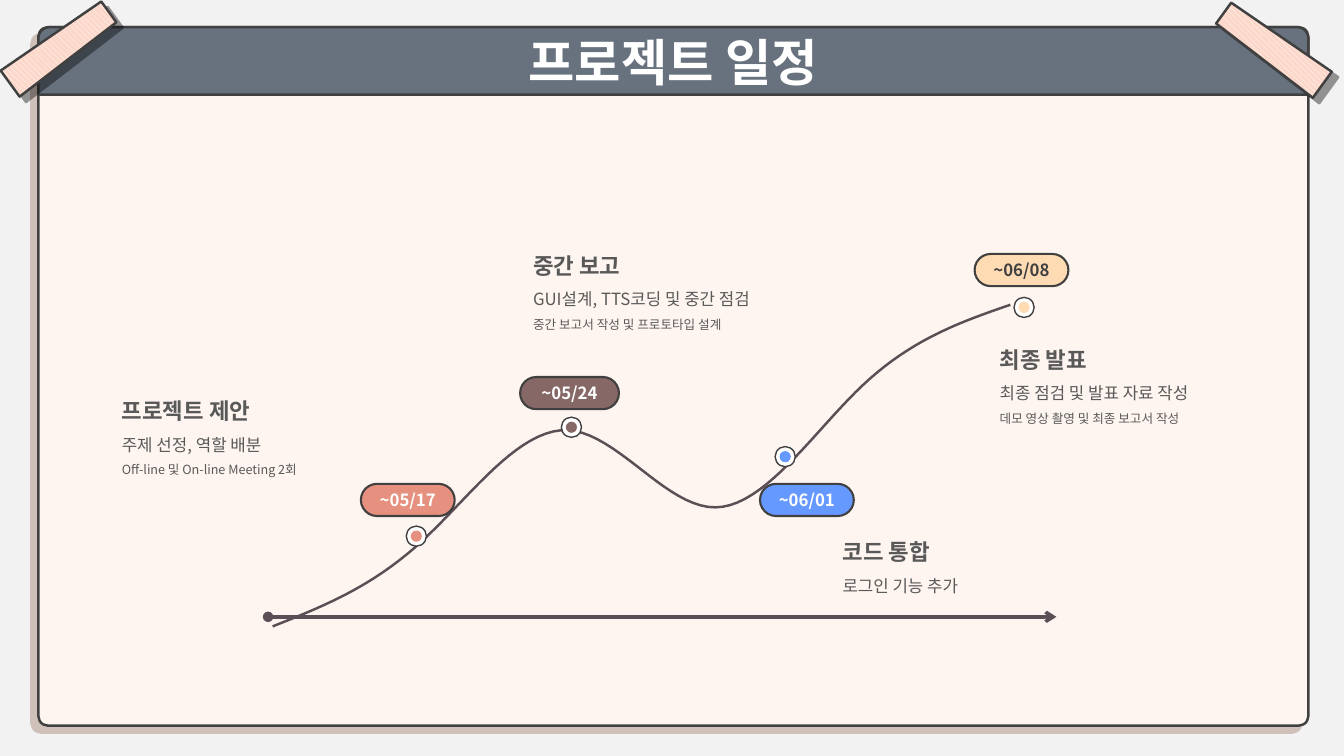
"""Build the project schedule slide."""
from lxml import etree
from pptx import Presentation
from pptx.chart.data import CategoryChartData
from pptx.dml.color import RGBColor
from pptx.enum.chart import XL_CHART_TYPE, XL_MARKER_STYLE
from pptx.enum.dml import MSO_PATTERN
from pptx.enum.shapes import MSO_CONNECTOR, MSO_SHAPE
from pptx.enum.text import MSO_ANCHOR, MSO_AUTO_SIZE, PP_ALIGN
from pptx.oxml import parse_xml
from pptx.oxml.ns import nsdecls, qn
from pptx.util import Pt

ROUND, TOP_ROUND = MSO_SHAPE.ROUNDED_RECTANGLE, MSO_SHAPE.ROUND_2_SAME_RECTANGLE
OVAL, TRAPEZOID = MSO_SHAPE.OVAL, MSO_SHAPE.TRAPEZOID
STRIPES = MSO_PATTERN.WIDE_DOWNWARD_DIAGONAL
LINE_CHART, NO_MARKER = XL_CHART_TYPE.LINE, XL_MARKER_STYLE.NONE
STRAIGHT = MSO_CONNECTOR.STRAIGHT
MIDDLE, CENTER, LEFT = MSO_ANCHOR.MIDDLE, PP_ALIGN.CENTER, PP_ALIGN.LEFT
NO_FIT, GROW = MSO_AUTO_SIZE.NONE, MSO_AUTO_SIZE.SHAPE_TO_FIT_TEXT

COLORS = {
    "back": "F2F2F2", "panel": "FEF5F0", "bar": "68727E", "outline": "404040",
    "panel_shadow": "622706", "black": "000000", "white": "FFFFFF",
    "tape": "FCD8CA", "curve": "5B4E55", "text": "595959", "label": "D9D9D9",
    "coral": "E6907F", "brown": "866867", "blue": "6699FF", "sand": "FEDBB3",
}
MILESTONES = [
    ("~05/24", "brown", "white", (371.5, 269.3, 70.6), (401, 298)),
    ("~06/08", "sand", "outline", (696.2, 181.4, 67), (724.3, 212.4)),
    ("~05/17", "coral", "white", (257.8, 345.6, 67), (290.2, 375.8)),
    ("~06/01", "blue", "white", (542.9, 345.6, 67), (553.7, 319)),
]
NOTES = [
    ((707, 234, 173.5, 72.7),
     ["최종 발표", "최종 점검 및 발표 자료 작성", "데모 영상 촬영 및 최종 보고서 작성"]),
    ((373.7, 167, 186.5, 72.7),
     ["중간 보고", "GUI설계, TTS코딩 및 중간 점검", "중간 보고서 작성 및 프로토타입 설계"]),
    ((79.9, 270.7, 173.5, 72.7),
     ["프로젝트 제안", "주제 선정, 역할 배분", "Off-line 및 On-line Meeting 2회"]),
    ((594.7, 371.5, 186.5, 72.7), ["코드 통합", "로그인 기능 추가"]),
]


class Deck:
    """Holds the style and the current slide."""

    font = "Noto Sans CJK KR"

    def __init__(self, prs):
        self.slide = prs.slides.add_slide(prs.slide_layouts[5])
        self.shapes = self.slide.shapes
        fill = self.slide.background.fill
        fill.solid()
        fill.fore_color.rgb = self.color("back")

    def color(self, name):
        return RGBColor.from_string(COLORS[name])

    def text(self, p, words, size, color, bold=False, align=LEFT):
        p.text, p.alignment = words, align
        font = p.font
        font.size, font.bold, font.name = Pt(size), bold, self.font
        font.color.rgb = self.color(color)
        etree.SubElement(font._element, qn("a:ea")).set("typeface", self.font)

    def shape(self, kind, box, fill, line=None, adj=None, parent=None):
        sp = (parent.shapes if parent else self.shapes).add_shape(kind, *map(Pt, box))
        sp.shadow.inherit = False
        sp.fill.solid()
        sp.fill.fore_color.rgb = self.color(fill)
        if line:
            sp.line.color.rgb = self.color("outline")
            sp.line.width = Pt(line)
        else:
            sp.line.fill.background()
        if adj is not None:
            sp.adjustments[0] = adj
        return sp

    def shadow(self, sp, color, alpha, dist, angle):
        effects = sp._element.spPr.find(qn("a:effectLst"))
        effects.append(parse_xml(
            f'<a:outerShdw {nsdecls("a")} dist="{Pt(dist)}" dir="{angle * 60000}" '
            f'algn="ctr" rotWithShape="0"><a:srgbClr val="{COLORS[color]}">'
            f'<a:alpha val="{alpha * 1000}"/></a:srgbClr></a:outerShdw>'))

    def title(self, words, bar):
        sp = self.shapes.title
        bar._element.addnext(sp._element)
        sp.left, sp.top, sp.width, sp.height = bar.left, bar.top, bar.width, bar.height
        tf = sp.text_frame
        tf.auto_size, tf.vertical_anchor = NO_FIT, MIDDLE
        self.text(tf.paragraphs[0], words, 36, "white", True, CENTER)

    def tape(self, left, top, angle):
        sp = self.shape(TRAPEZOID, (left, top, 23, 87.1), "tape", 1.75, 0.1)
        sp.rotation = angle
        sp.fill.patterned()
        sp.fill.pattern = STRIPES
        sp.fill.fore_color.rgb = self.color("white")
        sp.fill.back_color.rgb = self.color("tape")
        self.shadow(sp, "black", 40, 6, 40)

    def curve(self, box, values):
        data = CategoryChartData()
        data.categories = [str(n + 1) for n in range(len(values))]
        data.add_series("Series 1", values)
        chart = self.shapes.add_chart(LINE_CHART, *map(Pt, box), data).chart
        chart.has_legend = chart.has_title = False
        chart.font.name, chart.font.size = self.font, Pt(10)
        chart.font.color.rgb = self.color("label")
        for axis in (chart.category_axis, chart.value_axis):
            axis.has_major_gridlines = axis.visible = False
        chart.value_axis.minimum_scale, chart.value_axis.maximum_scale = 0, 100
        plot = chart.plots[0]
        plot.vary_by_categories = False
        series = plot.series[0]
        series.smooth, series.marker.style = True, NO_MARKER
        series.format.line.color.rgb = self.color("curve")
        series.format.line.width = Pt(1.75)
        area = chart._chartSpace.find(".//" + qn("c:plotArea"))
        for old in area.findall(qn("c:layout")):
            area.remove(old)
        frame = "".join(f'<c:{tag} val="{val}"/>' for tag, val in (
            ("layoutTarget", "inner"), ("xMode", "edge"), ("yMode", "edge"),
            ("x", 0.02), ("y", 0.07), ("w", 0.96), ("h", 0.92)))
        area.insert(0, parse_xml(
            f'<c:layout {nsdecls("c")}><c:manualLayout>{frame}</c:manualLayout></c:layout>'))

    def milestone(self, date, fill, ink, pill, dot):
        left, top, width = pill
        sp = self.shape(ROUND, (left, top, width, 23), fill, 1.5, 0.5)
        tf = sp.text_frame
        tf.vertical_anchor = MIDDLE
        self.text(tf.paragraphs[0], date, 12, ink, True, CENTER)
        x, y = dot
        group = self.shapes.add_group_shape()
        self.shape(OVAL, (x, y, 14.4, 14.4), "white", 1, parent=group)
        self.shape(OVAL, (x + 3.2, y + 3.2, 8, 8), fill, parent=group)

    def note(self, box, lines):
        tf = self.shapes.add_textbox(*map(Pt, box)).text_frame
        tf.word_wrap, tf.auto_size = True, GROW
        for i, (words, size) in enumerate(zip(lines, (16, 12, 9))):
            p = tf.add_paragraph() if i else tf.paragraphs[0]
            p.line_spacing = 1.5
            self.text(p, words, size, "text", i == 0)

    def arrow(self, x1, x2, y):
        cxn = self.shapes.add_connector(STRAIGHT, Pt(x1), Pt(y), Pt(x2), Pt(y))
        cxn.line.color.rgb = self.color("curve")
        cxn.line.width = Pt(2.5)
        ln = cxn.line._get_or_add_ln()
        for tag, kind in (("a:headEnd", "oval"), ("a:tailEnd", "arrow")):
            etree.SubElement(ln, qn(tag)).set("type", kind)
        etree.SubElement(cxn._element.spPr, qn("a:effectLst"))


def main():
    prs = Presentation()
    prs.slide_width, prs.slide_height = Pt(960), Pt(540)
    deck = Deck(prs)
    panel = deck.shape(ROUND, (27.4, 19.4, 907.2, 499), "panel", 1.75, 0.014)
    deck.shadow(panel, "panel_shadow", 23, 7, 135)
    bar = deck.shape(TOP_ROUND, (27.4, 19.4, 907.2, 48.2), "bar", 1.75)
    deck.title("프로젝트 일정", bar)
    deck.tape(31, -9.4, 54)
    deck.tape(897.8, -8.6, 306)
    deck.curve((128.9, 200.2, 658.8, 249.8), (0, 26, 61, 37, 75, 100))
    deck.arrow(191.5, 754.6, 440.6)
    for milestone in MILESTONES:
        deck.milestone(*milestone)
    for box, lines in NOTES:
        deck.note(box, lines)
    prs.save("out.pptx")


if __name__ == "__main__":
    main()
